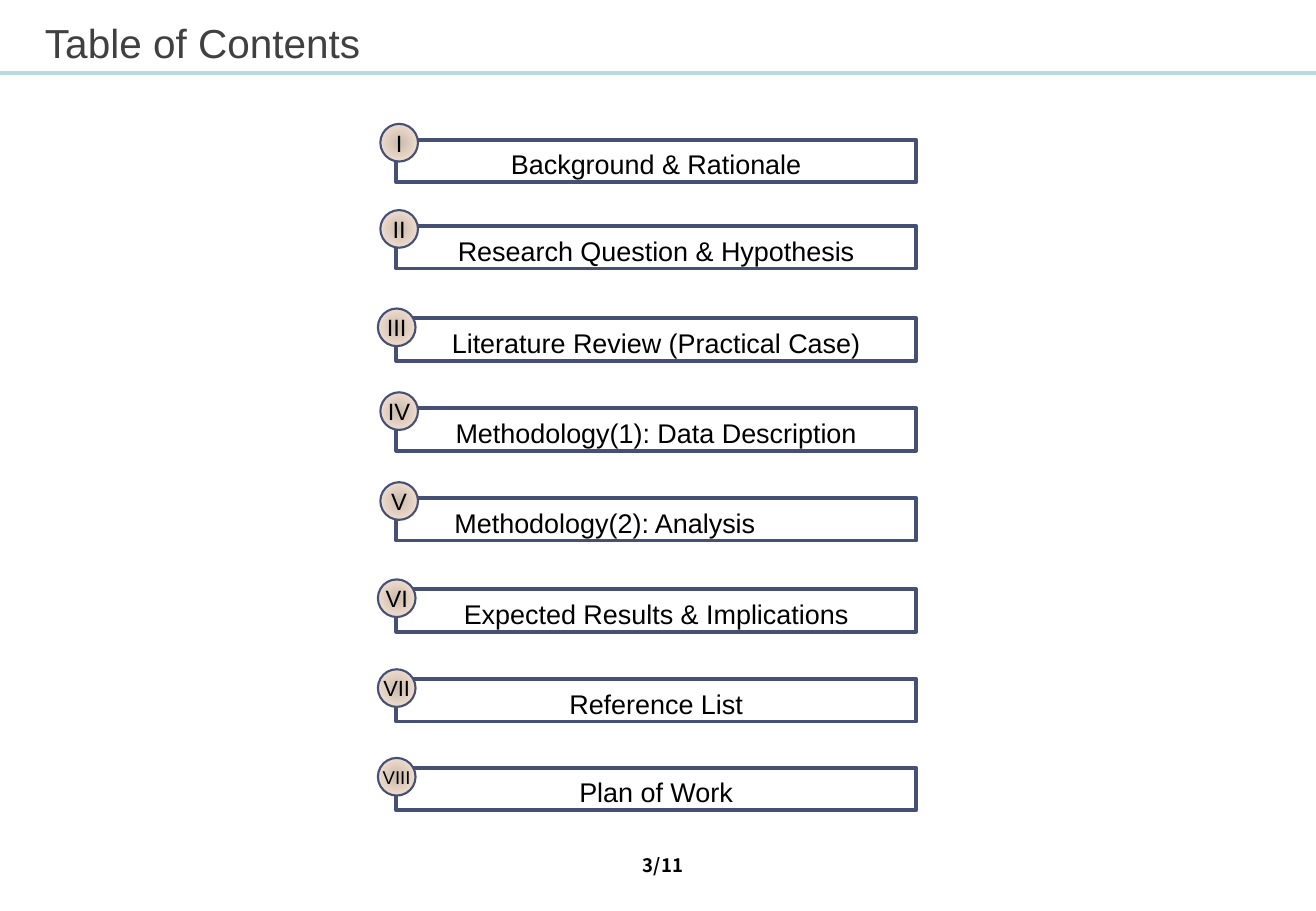
from lxml import etree
from pptx import Presentation
from pptx.dml.color import RGBColor
from pptx.enum import shapes, text
from pptx.oxml import ns
from pptx.util import Inches, Pt

BLACK = RGBColor(0x00, 0x00, 0x00)
WHITE = RGBColor(0xFF, 0xFF, 0xFF)
TITLE_GREY = RGBColor(0x40, 0x40, 0x40)
RULE_TEAL = RGBColor(0xB6, 0xDC, 0xDF)
NAVY = RGBColor(0x46, 0x50, 0x74)
PEACH = RGBColor(0xFD, 0xEA, 0xDA)
PEACH_DARK = RGBColor(0xCB, 0xBB, 0xAE)

ROW_LEFT, ROW_WIDTH, ROW_HEIGHT = 3.26, 4.28, 0.35
BADGE_SIZE = 0.31
# Badge offset from the top left corner of its row
HIGH, LOW = (-0.13, -0.13), (-0.15, -0.08)
CENTER, LEFT = text.PP_ALIGN.CENTER, text.PP_ALIGN.LEFT

# Row top, numeral, numeral size, badge offset, entry, alignment, left inset
ENTRIES = [
    (1.15, "I", 14, HIGH, "Background & Rationale", CENTER, 0.05),
    (1.86, "II", 14, HIGH, "Research Question & Hypothesis", CENTER, 0.05),
    (2.62, "III", 14, LOW, "Literature Review (Practical Case)", CENTER, 0.05),
    (3.36, "IV", 14, HIGH, "Methodology(1): Data Description", CENTER, 0.05),
    (4.1, "V", 14, HIGH, "Methodology(2): Analysis", LEFT, 0.48),
    (4.85, "VI", 14, LOW, "Expected Results & Implications", CENTER, 0.05),
    (5.59, "VII", 13, LOW, "Reference List", CENTER, 0.05),
    (6.32, "VIII", 11, LOW, "Plan of Work", CENTER, 0.05),
]


def write(shape, words, size, align, color=BLACK, font="Arial", bold=False):
    """Set one formatted paragraph and return it."""
    frame = shape.text_frame
    frame.text = words
    frame.vertical_anchor = text.MSO_ANCHOR.MIDDLE
    para = frame.paragraphs[0]
    para.alignment = align
    span = para.runs[0].font
    span.size, span.name, span.bold = Pt(size), font, bold
    span.color.rgb = color
    return para


def set_insets(frame, left, other):
    frame.margin_left = Inches(left)
    frame.margin_top = frame.margin_right = frame.margin_bottom = Inches(other)


def add_outlined(page, kind, left, top, width, height, line_width):
    shape = page.shapes.add_shape(
        kind, Inches(left), Inches(top), Inches(width), Inches(height))
    shape.shadow.inherit = False
    shape.line.color.rgb = NAVY
    shape.line.width = Pt(line_width)
    return shape


def fill_radial(shape, inner, outer):
    shape.fill.gradient()
    for stop, color in zip(shape.fill.gradient_stops, (inner, outer)):
        stop.color.rgb = color
    gradient = shape._element.spPr.find(ns.qn("a:gradFill"))
    gradient.remove(gradient.find(ns.qn("a:lin")))
    circle = etree.SubElement(gradient, ns.qn("a:path"), {"path": "circle"})
    middle = dict.fromkeys("ltrb", "50000")
    etree.SubElement(circle, ns.qn("a:fillToRect"), middle)


def add_entry(page, top, numeral, size, offset, words, align, inset):
    # Framed entry
    row = add_outlined(page, shapes.MSO_SHAPE.FLOWCHART_PROCESS,
                       ROW_LEFT, top, ROW_WIDTH, ROW_HEIGHT, 2.25)
    row.fill.solid()
    row.fill.fore_color.rgb = WHITE
    set_insets(row.text_frame, inset, 0.05)
    para = write(row, words, 16, align)
    para.line_spacing = 1.2
    para.space_after = Pt(6)

    # Numbered badge
    badge = add_outlined(page, shapes.MSO_SHAPE.OVAL, ROW_LEFT + offset[0],
                         top + offset[1], BADGE_SIZE, BADGE_SIZE, 1.25)
    fill_radial(badge, PEACH_DARK, PEACH)
    set_insets(badge.text_frame, 0, 0)
    badge.text_frame.word_wrap = False
    write(badge, numeral, size, CENTER)


def add_header(deck, page):
    rule = page.shapes.add_connector(
        shapes.MSO_CONNECTOR.STRAIGHT, 0, Inches(0.6), deck.slide_width, Inches(0.6))
    rule.line.color.rgb = RULE_TEAL
    rule.line.width = Pt(2.25)
    etree.SubElement(rule._element.spPr, ns.qn("a:effectLst"))

    title = page.shapes.title
    title.left, title.top = Inches(0.27), Inches(0.13)
    title.width, title.height = Inches(4.2), Inches(0.44)
    title.text_frame.auto_size = text.MSO_AUTO_SIZE.NONE
    write(title, "Table of Contents", 24, LEFT, TITLE_GREY)


def add_page_number(page):
    box = page.shapes.add_textbox(
        Inches(5.18), Inches(6.98), Inches(0.54), Inches(0.29))
    box.text_frame.word_wrap = False
    write(box, "3/11", 11, text.PP_ALIGN.RIGHT, font="Noto Sans CJK KR", bold=True)


def main():
    deck = Presentation()
    deck.slide_width, deck.slide_height = Inches(10.83), Inches(7.5)
    page = deck.slides.add_slide(deck.slide_layouts[5])
    add_header(deck, page)
    for entry in ENTRIES:
        add_entry(page, *entry)
    add_page_number(page)
    deck.save("out.pptx")


if __name__ == "__main__":
    main()
